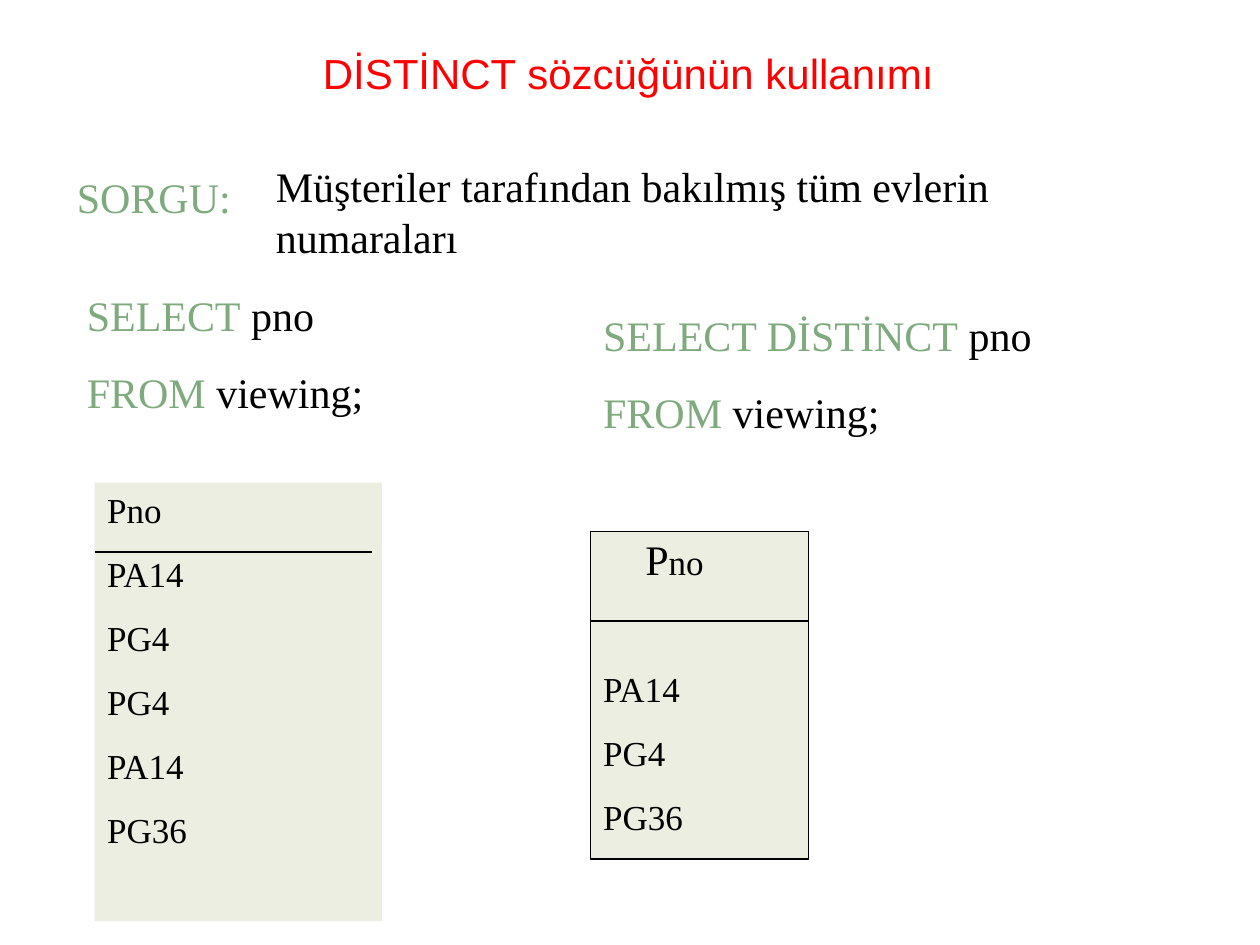
"""Build a slide comparing SELECT with SELECT DISTINCT."""
from dataclasses import dataclass

from lxml.etree import SubElement
from pptx import Presentation
from pptx.dml.color import RGBColor
from pptx.enum.shapes import MSO_CONNECTOR, MSO_SHAPE
from pptx.enum.text import MSO_ANCHOR, MSO_AUTO_SIZE, PP_ALIGN
from pptx.oxml.ns import qn
from pptx.util import Cm, Pt

COLORS = {"title": "FF0000", "keyword": "7FAA7E", "text": "000000", "panel": "EDEEE2"}
SERIF = "Times New Roman"
RIGHT_EDGE = 11.91
LEFT_EDGE = 1.91


@dataclass
class Area:
    left: float
    top: float
    width: float
    height: float

    def lengths(self) -> tuple:
        return Cm(self.left), Cm(self.top), Cm(self.width), Cm(self.height)


@dataclass
class Span:
    text: str
    size: float = 24
    color: str = "text"


@dataclass
class Line:
    spans: list[Span]
    before: float = 15
    indent: float = 0


def color(name: str) -> RGBColor:
    return RGBColor.from_string(COLORS[name])


def add_span(para, text: str, *, size: float, tint: str, font: str = SERIF) -> None:
    span = para.add_run()
    span.text = text
    span.font.size = Pt(size)
    span.font.name = font
    span.font.color.rgb = color(tint)


def write_lines(box, lines: list[Line]) -> None:
    frame = box.text_frame
    frame.word_wrap = True
    frame.auto_size = MSO_AUTO_SIZE.NONE
    frame.vertical_anchor = MSO_ANCHOR.TOP
    for index, line in enumerate(lines):
        para = frame.add_paragraph() if index else frame.paragraphs[0]
        para.alignment = PP_ALIGN.LEFT
        if index:
            para.space_before = Pt(line.before)
        if line.indent:
            para._p.get_or_add_pPr().set("marL", str(Cm(line.indent)))
        for span in line.spans:
            add_span(para, span.text, size=span.size, tint=span.color)


def add_text(page, area: Area, lines: list[Line]) -> None:
    write_lines(page.shapes.add_textbox(*area.lengths()), lines)


def add_panel(page, area: Area, *, outlined: bool):
    panel = page.shapes.add_shape(MSO_SHAPE.RECTANGLE, *area.lengths())
    panel.shadow.inherit = False
    panel.fill.solid()
    panel.fill.fore_color.rgb = color("panel")
    if outlined:
        panel.line.color.rgb = color("text")
        panel.line.width = Pt(0.75)
    else:
        panel.line.fill.background()
    return panel


def add_rule(page, left: float, top: float, width: float) -> None:
    rule = page.shapes.add_connector(
        MSO_CONNECTOR.STRAIGHT, Cm(left), Cm(top), Cm(left + width), Cm(top)
    )
    rule.line.color.rgb = color("text")
    rule.line.width = Pt(0.75)
    SubElement(rule._element.spPr, qn("a:effectLst"))


def set_title(page, area: Area, text: str) -> None:
    title = page.shapes.title
    title.left, title.top, title.width, title.height = area.lengths()
    frame = title.text_frame
    frame.auto_size = MSO_AUTO_SIZE.NONE
    frame.vertical_anchor = MSO_ANCHOR.MIDDLE
    para = frame.paragraphs[0]
    para.alignment = PP_ALIGN.CENTER
    add_span(para, text, size=24, tint="title", font="Arial")


def query(select: str) -> list[Line]:
    pairs = [(select, " pno"), ("FROM", " viewing;")]
    return [Line([Span(word, color="keyword"), Span(rest)]) for word, rest in pairs]


def result(values: list[str], first_gap: float = 12.5) -> list[Line]:
    return [
        Line([Span(value, 20)], 12.5 if index else first_gap)
        for index, value in enumerate(values)
    ]


def main() -> None:
    deck = Presentation()
    deck.slide_width, deck.slide_height = Cm(25.4), Cm(19.05)
    page = deck.slides.add_slide(deck.slide_layouts[5])

    add_panel(page, Area(RIGHT_EDGE, 10.72, 4.39, 6.6), outlined=True)
    set_title(page, Area(0.84, 0.64, 23.65, 1.65), "DİSTİNCT sözcüğünün kullanımı")
    add_text(page, Area(1.3, 3.33, 4.6, 1.27), [Line([Span("SORGU:", color="keyword")])])
    question = "Müşteriler tarafından bakılmış tüm evlerin numaraları"
    add_text(page, Area(5.31, 3.12, 18.19, 2.29), [Line([Span(question)])])
    add_text(page, Area(1.5, 5.72, 6.6, 2.82), query("SELECT"))

    panel = add_panel(page, Area(LEFT_EDGE, 9.73, 5.79, 8.84), outlined=False)
    write_lines(panel, result(["Pno", "PA14", "PG4", "PG4", "PA14", "PG36"]))
    add_rule(page, LEFT_EDGE, 11.13, 5.59)

    header = Line([Span("P"), Span("no", 20)], before=55, indent=0.85)
    distinct = query("SELECT DİSTİNCT") + [header] + result(["PA14", "PG4", "PG36"], 48)
    add_text(page, Area(RIGHT_EDGE, 6.12, 9.8, 10.97), distinct)
    add_rule(page, RIGHT_EDGE, 12.52, 4.39)

    deck.save("out.pptx")


if __name__ == "__main__":
    main()
